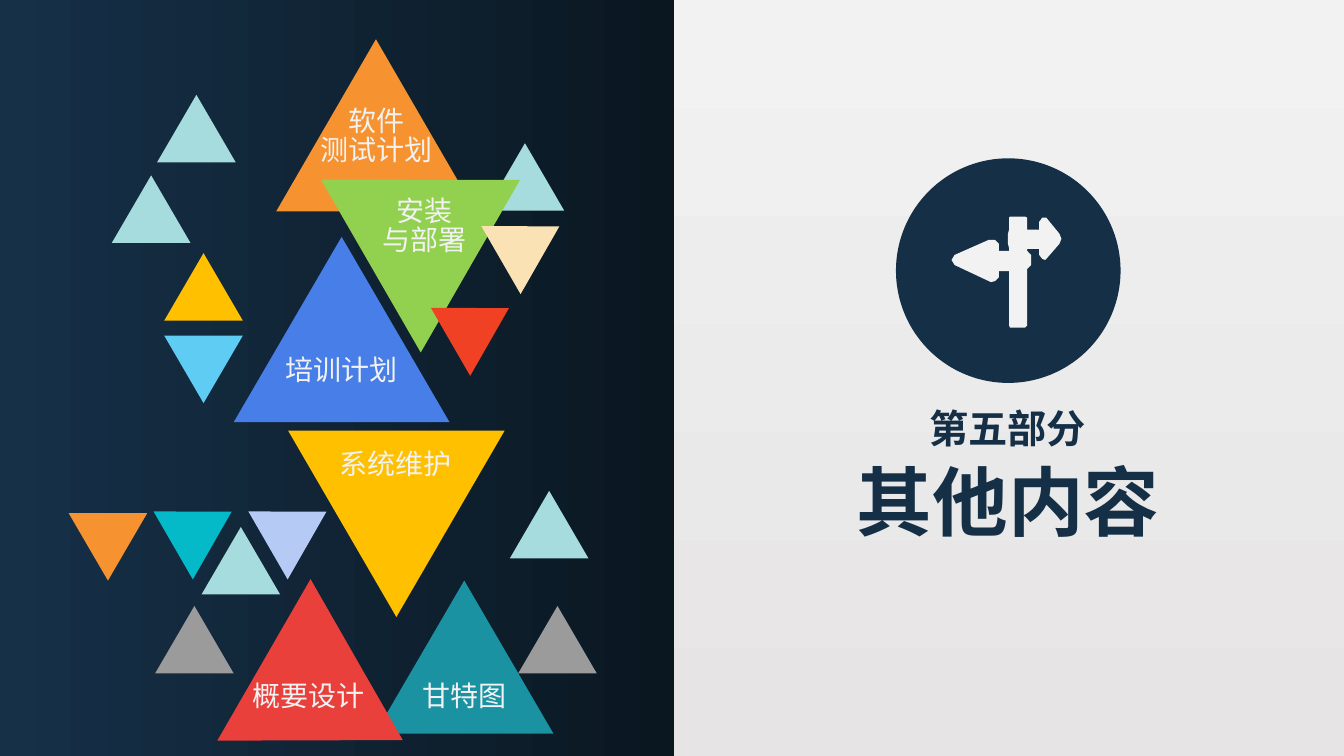
from lxml.etree import SubElement
from pptx import Presentation
from pptx.dml.color import RGBColor
from pptx.enum.shapes import MSO_SHAPE as SHAPE
from pptx.enum.text import MSO_ANCHOR as ANCHOR, MSO_AUTO_SIZE as FIT, PP_ALIGN as ALIGN
from pptx.oxml.ns import qn
from pptx.util import Cm, Pt

FONT = "Noto Sans CJK SC"
NAVY = RGBColor(0x15, 0x2F, 0x47)
PANEL_LEFT = RGBColor(0x16, 0x30, 0x48)
PANEL_RIGHT = RGBColor(0x0A, 0x17, 0x21)
PALE = RGBColor(0xF2, 0xF2, 0xF2)
PALE_END = RGBColor(0xE6, 0xE4, 0xE4)
MINT = RGBColor(0xA7, 0xDC, 0xDE)
LILAC = RGBColor(0xB5, 0xCB, 0xF5)
BLUE = RGBColor(0x47, 0x7E, 0xE7)
TEAL = RGBColor(0x1A, 0x92, 0xA2)
GREY = RGBColor(0x9B, 0x9B, 0x9B)
ORANGE = RGBColor(0xF6, 0x92, 0x30)
GREEN = RGBColor(0x92, 0xD0, 0x50)
CREAM = RGBColor(0xFA, 0xE2, 0xB5)
CYAN = RGBColor(0x05, 0xBA, 0xC8)
GOLD = RGBColor(0xFF, 0xC0, 0x00)
SKY = RGBColor(0x5E, 0xCC, 0xF3)
SCARLET = RGBColor(0xF1, 0x41, 0x24)
RED = RGBColor(0xE9, 0x40, 0x3C)

SMALL = (1.98, 1.7)
LARGE = (5.03, 4.34)
TRIANGLES = [
    ((2.82, 4.42), SMALL, MINT, 0, False),
    ((12.24, 3.61), SMALL, MINT, 0, False),
    ((6.5, 12.47), SMALL, LILAC, 60, False),
    ((5.89, 5.97), (5.44, 4.67), BLUE, 0, False),
    ((9.45, 14.63), (4.5, 3.86), TEAL, 0, False),
    ((5.08, 13.28), SMALL, MINT, 0, False),
    ((3.91, 15.27), SMALL, GREY, 0, False),
    ((6.96, 0.99), LARGE, ORANGE, 0, False),
    ((3.96, 2.39), SMALL, MINT, 0, False),
    ((8.71, 3.45), LARGE, GREEN, 60, False),
    ((12.37, 5.28), SMALL, CREAM, 60, False),
    ((4.11, 12.47), SMALL, CYAN, 60, False),
    ((1.73, 12.93), SMALL, ORANGE, 180, False),
    ((4.14, 6.38), SMALL, GOLD, 0, False),
    ((4.14, 8.46), SMALL, SKY, 0, True),
    ((11.1, 7.34), SMALL, SCARLET, 60, False),
    ((6.05, 15.62), (4.7, 4.04), RED, 300, True),
    ((12.85, 12.37), SMALL, MINT, 0, False),
    ((7.26, 10.85), (5.46, 4.7), GOLD, 0, True),
    ((13.06, 15.27), SMALL, GREY, 0, False),
]
LABELS = [
    (["培训计划"], (6.91, 8.89, 3.4, 1.12)),
    (["软件", "测试计划"], (7.52, 2.62, 3.94, 1.96)),
    (["安装", "与部署"], (8.92, 4.88, 3.58, 1.96)),
    (["系统维护"], (8.18, 11.25, 3.58, 1.12)),
    (["概要设计"], (6.12, 17.09, 3.33, 1.12)),
    (["甘特图"], (10.39, 17.09, 2.62, 1.12)),
]
SIGN_UNIT = Cm(2.54) / 100
SIGNPOST = [
    (107, 17), (94, 1), (91, 1), (90, 1), (87, 5), (87, 13), (75, 13), (75, 1),
    (73, 0), (58, 0), (57, 1), (57, 13), (56, 17), (56, 27), (57, 31), (57, 34),
    (47, 34), (47, 27), (43, 23), (40, 23), (37, 23), (3, 38), (0, 43), (3, 48),
    (37, 64), (39, 65), (43, 64), (47, 60), (47, 54), (57, 54), (57, 108),
    (58, 110), (73, 110), (75, 108), (75, 52), (79, 48), (79, 38), (75, 34),
    (75, 32), (87, 32), (87, 38), (90, 42), (93, 43), (94, 42), (107, 27), (109, 22),
]
LABEL = {"size": Pt(20), "bold": False}
PART = {"size": Pt(28), "bold": True}
TITLE = {"size": Pt(54), "bold": True}
FRAME = {"word_wrap": False, "auto_size": FIT.SHAPE_TO_FIT_TEXT,
         "vertical_anchor": ANCHOR.TOP,
         "margin_left": Cm(0.25), "margin_right": Cm(0.25),
         "margin_top": Cm(0.13), "margin_bottom": Cm(0.13)}
PARAGRAPH = {"alignment": ALIGN.CENTER, "line_spacing": 0.85,
             "space_before": Pt(0), "space_after": Pt(0)}


def apply(obj, values):
    """Set attributes from a dict of format values."""
    for name, value in values.items():
        setattr(obj, name, value)


def gradient(fill, colors, angle):
    """Give a fill a two-stop linear gradient."""
    fill.gradient()
    fill.gradient_angle = angle
    for stop, color in zip(fill.gradient_stops, colors):
        stop.color.rgb = color


def plain(sp, color=None):
    """Remove shadow and line, and fill with a colour if one is given."""
    sp.shadow.inherit = False
    sp.line.fill.background()
    if color is not None:
        sp.fill.solid()
        sp.fill.fore_color.rgb = color
    return sp


def add_triangle(shapes, at, size, color, rotation, flipped):
    """Add a triangle, turned and flipped as needed."""
    box = [Cm(v) for v in at + size]
    sp = plain(shapes.add_shape(SHAPE.ISOSCELES_TRIANGLE, *box), color)
    sp.rotation = rotation
    if flipped:
        sp._element.spPr.find(qn("a:xfrm")).set("flipV", "1")


def write(sp, lines, box, color, style):
    """Place a text shape and write its centred lines."""
    apply(sp, dict(zip(("left", "top", "width", "height"), map(Cm, box))))
    tf = sp.text_frame
    apply(tf, FRAME)
    tf.text = "\n".join(lines)
    for p in tf.paragraphs:
        apply(p, PARAGRAPH)
        for r in p.runs:
            apply(r.font, {"name": FONT, **style})
            r.font.color.rgb = color
            SubElement(r._r.get_or_add_rPr(), qn("a:ea")).set("typeface", FONT)


def add_text(shapes, lines, box, color, style):
    """Add a text box."""
    write(shapes.add_textbox(*map(Cm, box)), lines, box, color, style)


def add_signpost(shapes):
    """Add the round badge with the signpost in it."""
    group = shapes.add_group_shape().shapes
    plain(group.add_shape(SHAPE.OVAL, Cm(22.58), Cm(3.99), Cm(5.66), Cm(5.66)), NAVY)
    outline = group.build_freeform(*SIGNPOST[0], scale=SIGN_UNIT)
    outline.add_line_segments(SIGNPOST[1:], close=True)
    plain(outline.convert_to_shape(Cm(23.98), Cm(5.46)), PALE)


def main():
    """Build the section slide and save it."""
    prs = Presentation()
    prs.slide_width, prs.slide_height = Cm(33.87), Cm(19.05)
    s = prs.slides.add_slide(prs.slide_layouts[5])
    gradient(s.background.fill, (PALE, PALE_END), 270)
    panel = plain(s.shapes.add_shape(SHAPE.RECTANGLE, 0, 0, Cm(17), prs.slide_height))
    gradient(panel.fill, (PANEL_LEFT, PANEL_RIGHT), 0)
    write(s.shapes.title, ["其他内容"], (21.34, 11.68, 8.13, 2.57), NAVY, TITLE)
    add_text(s.shapes, ["第五部分"], (23.14, 10.24, 4.5, 1.45), NAVY, PART)
    add_signpost(s.shapes)
    for triangle in TRIANGLES:
        add_triangle(s.shapes, *triangle)
    for lines, box in LABELS:
        add_text(s.shapes, lines, box, PALE, LABEL)
    prs.save("out.pptx")


if __name__ == "__main__":
    main()
